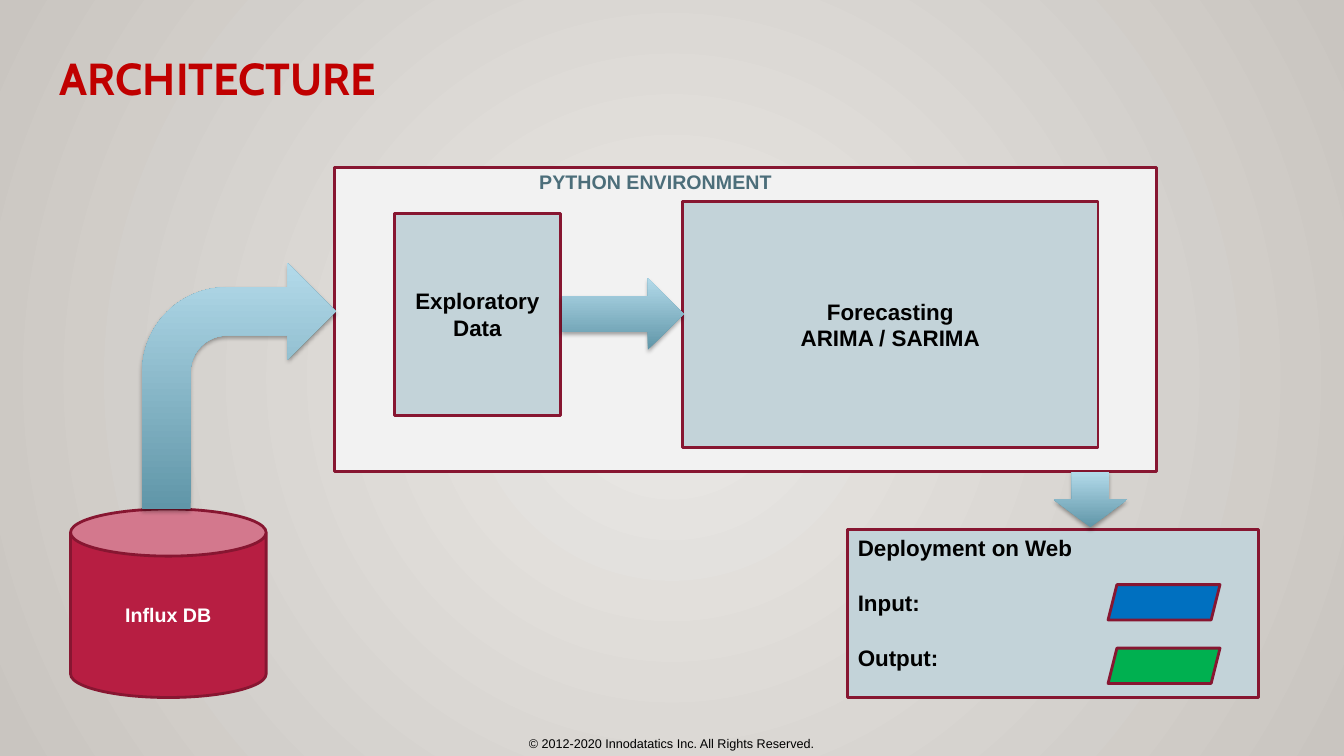
import pptx
import pptx.util
import pptx.dml.color
import pptx.enum.shapes
import pptx.enum.text
import pptx.oxml
from pptx.oxml.ns import nsdecls, qn

Inches, Pt = pptx.util.Inches, pptx.util.Pt
SHAPE = pptx.enum.shapes.MSO_SHAPE
ANCHOR = pptx.enum.text.MSO_ANCHOR
ALIGN = pptx.enum.text.PP_ALIGN

# Content
COLORS = {
    "glow": "EBE9E6", "edge": "C9C5C0", "title": "C00000", "outline": "871631",
    "panel": "F2F2F2", "box": "C3D3D9", "database": "B71E42", "label": "4C6E7A",
    "input": "0070C0", "output": "00B050", "arrow_dark": "6096A8",
    "arrow_light": "B3DAEA", "black": "000000", "white": "FFFFFF",
}
TITLE = ("ARCHITECTURE", (0.49, 0.51, 10.31, 0.75))
CENTERED = {"anchor": ANCHOR.MIDDLE, "align": ALIGN.CENTER, "size": 16, "color": "black"}
DATABASE_TEXT = {**CENTERED, "size": 14, "color": "white"}
WEB_TEXT = {"anchor": ANCHOR.TOP, "align": ALIGN.LEFT, "size": 16, "color": "black", "gap": 20}

# Outlined shapes: preset, place, fill, lines of text, text format
BLOCKS = [
    (SHAPE.RECTANGLE, (3.32, 1.66, 8.15, 3.02), "panel", [], {}),
    (SHAPE.CAN, (0.7, 5.05, 1.94, 1.87), "database", ["Influx DB"], DATABASE_TEXT),
    (SHAPE.RECTANGLE, (3.91, 2.12, 1.65, 2), "box", ["Exploratory", "Data"], CENTERED),
    (SHAPE.RECTANGLE, (6.77, 2, 4.12, 2.44), "box", ["Forecasting", "ARIMA / SARIMA"], CENTERED),
    (SHAPE.RECTANGLE, (8.41, 5.25, 4.07, 1.67), "box",
     ["Deployment on Web", "Input:", "Output:"], WEB_TEXT),
    (SHAPE.PARALLELOGRAM, (10.99, 5.8, 1.11, 0.35), "input", [], {}),
    (SHAPE.PARALLELOGRAM, (10.99, 6.43, 1.11, 0.35), "output", [], {}),
]
ARROWS = [
    (SHAPE.BENT_ARROW, (1.41, 2.61, 1.92, 2.44)),
    (SHAPE.RIGHT_ARROW, (5.57, 2.76, 1.21, 0.71)),
    (SHAPE.DOWN_ARROW, (10.45, 4.68, 0.73, 0.55)),
]
LABELS = [
    ("PYTHON ENVIRONMENT", (5.25, 1.64, 2.67, 0.34),
     {"anchor": ANCHOR.TOP, "align": ALIGN.LEFT, "size": 14, "color": "label"}),
    ("© 2012-2020 Innodatatics Inc. All Rights Reserved.", (4.51, 7.25, 4.3, 0.25),
     {"anchor": ANCHOR.TOP, "align": ALIGN.CENTER, "size": 9, "color": "black", "bold": False}),
]
ARROW_SHADOW = (
    f'<a:effectLst {nsdecls("a")}><a:outerShdw blurRad="{Pt(3.1)}" dist="{Pt(1.8)}" '
    'dir="5400000" rotWithShape="0"><a:srgbClr val="000000"><a:alpha val="35000"/>'
    '</a:srgbClr></a:outerShdw></a:effectLst>'
)
RADIAL_PATH = (
    f'<a:path {nsdecls("a")} path="circle">'
    '<a:fillToRect l="50000" t="50000" r="50000" b="50000"/></a:path>'
)


def rgb(name):
    return pptx.dml.color.RGBColor.from_string(COLORS[name])


def inches(place):
    return [Inches(length) for length in place]


def set_gradient(fill, names):
    fill.gradient()
    for position, (stop, name) in enumerate(zip(fill.gradient_stops, names)):
        stop.position = position
        stop.color.rgb = rgb(name)


def write(frame, lines, style):
    frame.word_wrap = True
    frame.vertical_anchor = style["anchor"]
    font_values = {"name": style.get("font", "Arial"), "size": Pt(style["size"]),
                   "bold": style.get("bold", True)}
    for index, line in enumerate(lines):
        paragraph = frame.add_paragraph() if index else frame.paragraphs[0]
        paragraph.alignment = style["align"]
        if index:
            paragraph.space_before = Pt(style.get("gap", 0))
        run = paragraph.add_run()
        run.text = line
        for attribute, value in font_values.items():
            setattr(run.font, attribute, value)
        run.font.color.rgb = rgb(style["color"])


def add_block(slide, preset, place, fill, lines, style):
    shape = slide.shapes.add_shape(preset, *inches(place))
    shape.shadow.inherit = False
    shape.fill.solid()
    shape.fill.fore_color.rgb = rgb(fill)
    shape.line.color.rgb = rgb("outline")
    shape.line.width = Pt(2)
    if lines:
        write(shape.text_frame, lines, style)


def add_arrow(slide, preset, place):
    shape = slide.shapes.add_shape(preset, *inches(place))
    set_gradient(shape.fill, ["arrow_dark", "arrow_light"])
    shape.fill.gradient_angle = 90
    shape.line.fill.background()
    shape._element.spPr.append(pptx.oxml.parse_xml(ARROW_SHADOW))


def main():
    presentation = pptx.Presentation()
    presentation.slide_width, presentation.slide_height = Inches(13.33), Inches(7.5)
    slide = presentation.slides.add_slide(presentation.slide_layouts[5])

    # Background glow
    background = slide.background.fill
    set_gradient(background, ["glow", "edge"])
    linear = next(slide._element.iter(qn("a:lin")))
    linear.getparent().replace(linear, pptx.oxml.parse_xml(RADIAL_PATH))

    # Title
    text, place = TITLE
    title = slide.shapes.title
    title.left, title.top, title.width, title.height = inches(place)
    write(title.text_frame, [text], {"anchor": ANCHOR.TOP, "align": ALIGN.LEFT, "size": 32,
                                     "color": "title", "font": "Cabin"})
    title.text_frame.paragraphs[0].line_spacing = 0.9

    # Diagram
    for block in BLOCKS:
        add_block(slide, *block)
    for arrow in ARROWS:
        add_arrow(slide, *arrow)
    for text, place, style in LABELS:
        box = slide.shapes.add_textbox(*inches(place))
        write(box.text_frame, [text], style)

    presentation.save("out.pptx")


if __name__ == "__main__":
    main()
